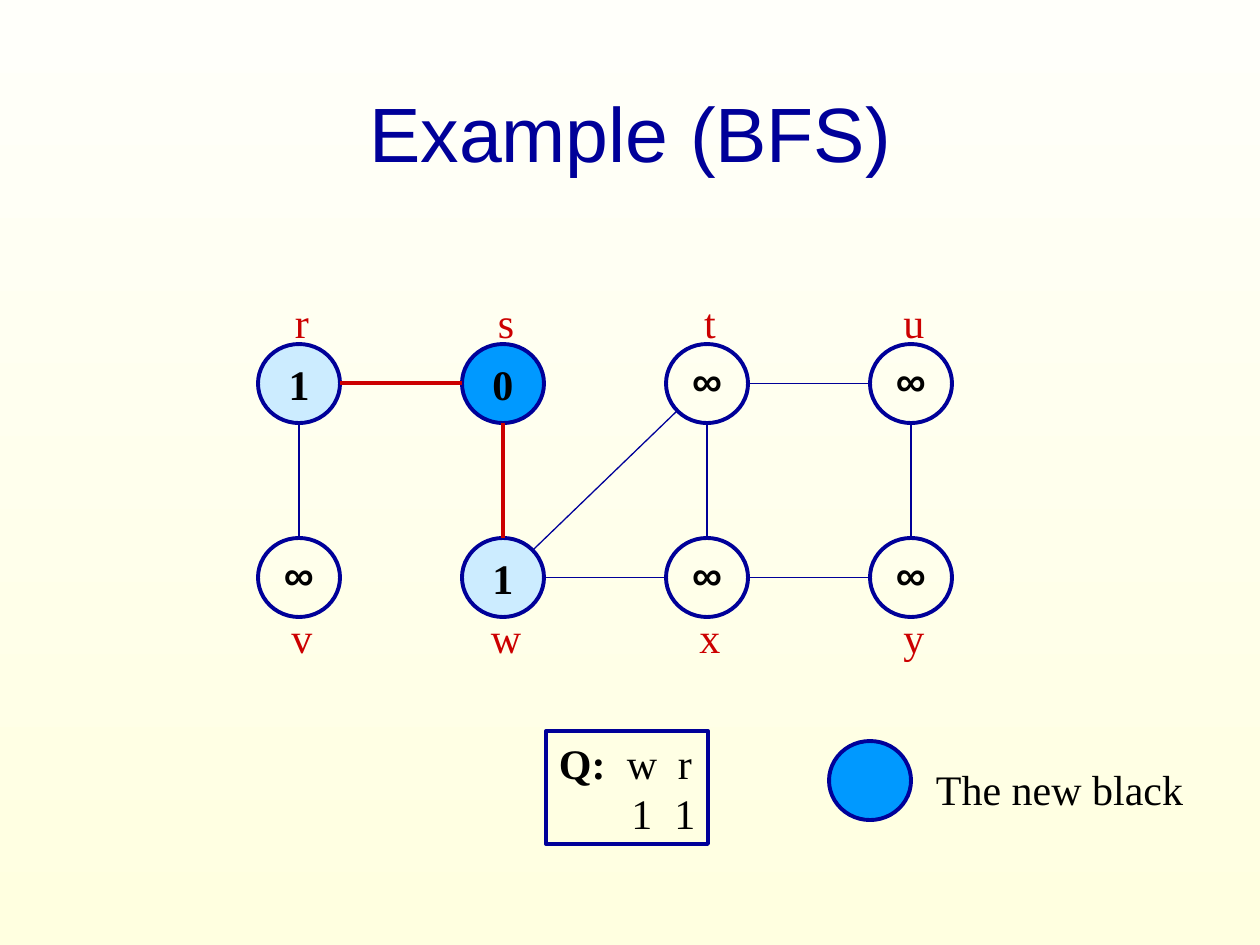
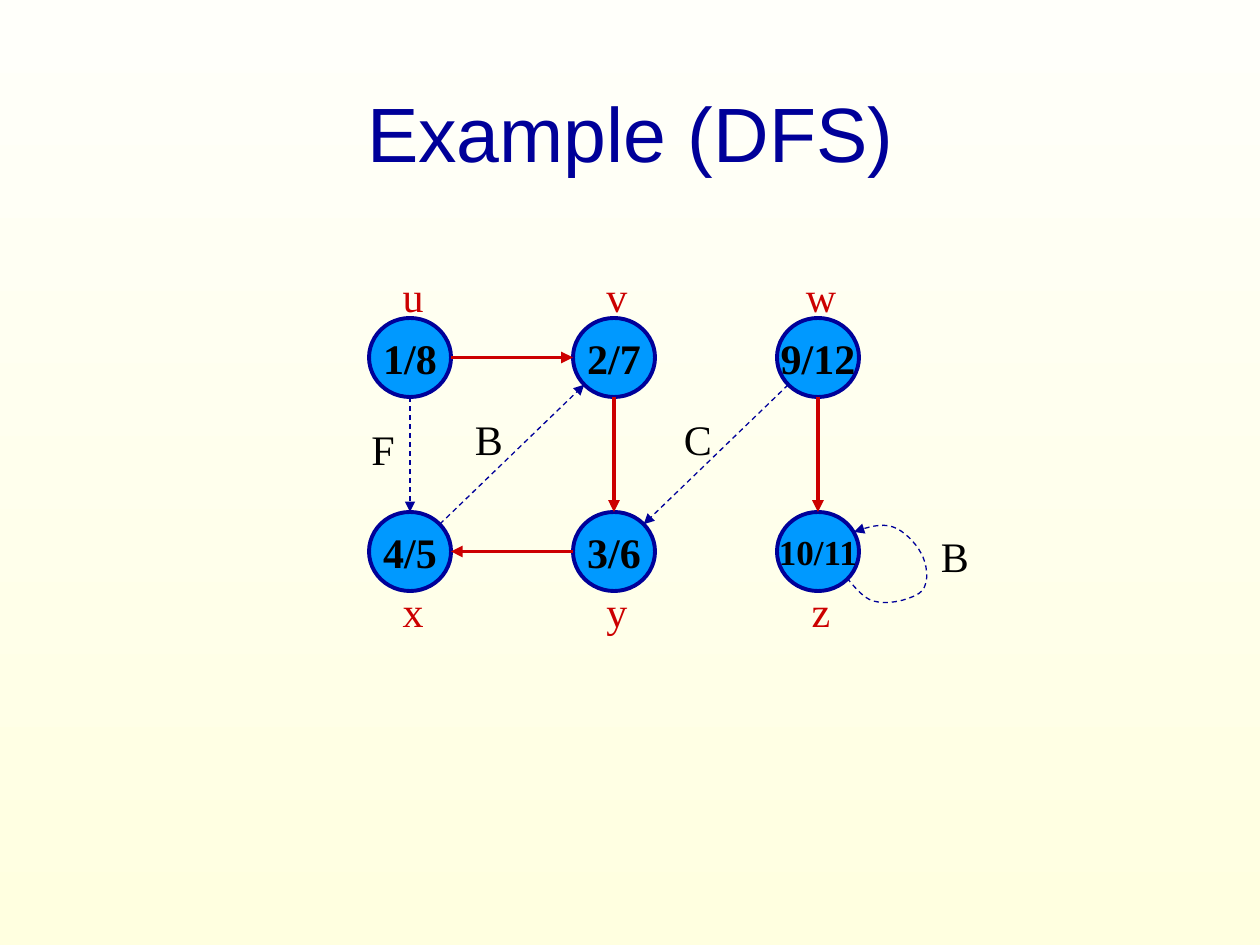
import math

from lxml import etree
from pptx import Presentation
from pptx import util as u
from pptx.dml.color import RGBColor
from pptx.enum import dml, shapes, text
from pptx.oxml.ns import qn

PX = u.Inches(10) / 1260
COLORS = {
    "top": "FFFFFA",
    "bottom": "FFFFE0",
    "navy": "000099",
    "red": "CC0000",
    "black": "000000",
    "visited": "0099FF",
    "queued": "CCECFF",
}
SANS, SERIF = "Arial", "Times New Roman"
NODE_W, NODE_H = 82, 79
COLUMN_GAP, ROW_GAP = 204, 194


def write(shape, content, size=24, color="black", bold=False, font=SERIF, align="CENTER"):
    frame = shape.text_frame
    frame.margin_left = frame.margin_right = frame.margin_top = frame.margin_bottom = 0
    frame.word_wrap = False
    frame.vertical_anchor = text.MSO_ANCHOR.MIDDLE
    frame.text = content
    for paragraph in frame.paragraphs:
        paragraph.alignment = text.PP_ALIGN[align]
        paragraph.font.name = font
        paragraph.font.size = u.Pt(size)
        paragraph.font.bold = bold
        paragraph.font.color.rgb = RGBColor.from_string(COLORS[color])


def stroke(line, color="navy", width=2.25, dashed=False, arrow=False):
    line.color.rgb = RGBColor.from_string(COLORS[color])
    line.width = u.Pt(width)
    if dashed:
        line.dash_style = dml.MSO_LINE.DASH
    if arrow:
        etree.SubElement(line._get_or_add_ln(), qn("a:tailEnd"), type="triangle")


graphs = [
    {
        "title": "Example (BFS)",
        "left": 258,
        "top": 344,
        "arrows": False,
        "rows": [
            [("r", "1", "queued"), ("s", "0", "visited"), ("t", "∞", None), ("u", "∞", None)],
            [("v", "∞", None), ("w", "1", "queued"), ("x", "∞", None), ("y", "∞", None)],
        ],
        "tree": ["rs", "sw"],
        "other": ["rv", "wt", "wx", "tx", "tu", "xy", "uy"],
    },
    {
        "title": "Example (DFS)",
        "left": 369,
        "top": 318,
        "arrows": True,
        "rows": [
            [("u", "1/8", "visited"), ("v", "2/7", "visited"), ("w", "9/12", "visited")],
            [("x", "4/5", "visited"), ("y", "3/6", "visited"), ("z", "10/11", "visited")],
        ],
        "tree": ["uv", "vy", "yx", "wz"],
        "other": ["ux", "xv", "wy"],
    },
]

presentation = Presentation()
presentation.slide_width, presentation.slide_height = u.Inches(10), u.Inches(7.5)
slides = []

for graph in graphs:
    slide = presentation.slides.add_slide(presentation.slide_layouts[6])
    slides.append(slide)
    background = slide.background.fill
    background.gradient()
    background.gradient_angle = 270
    for stop, position, color in zip(background.gradient_stops, (0, 1), ("top", "bottom")):
        stop.position = position
        stop.color.rgb = RGBColor.from_string(COLORS[color])

    title = slide.shapes.add_textbox(*(round(v * PX) for v in (42, 53, 1177, 157)))
    write(title, graph["title"], 44, "navy", font=SANS)

    centers = {}
    for row, nodes in enumerate(graph["rows"]):
        for column, (name, value, fill) in enumerate(nodes):
            left = graph["left"] + column * COLUMN_GAP
            top = graph["top"] + row * ROW_GAP
            x, y = centers[name] = left + NODE_W / 2, top + NODE_H / 2
            node = slide.shapes.add_shape(
                shapes.MSO_SHAPE.OVAL, *(round(v * PX) for v in (left, top, NODE_W, NODE_H)))
            node.shadow.inherit = False
            stroke(node.line)
            if fill:
                node.fill.solid()
                node.fill.fore_color.rgb = RGBColor.from_string(COLORS[fill])
            else:
                node.fill.background()
            infinite = value == "∞"
            write(node, value, 20 if len(value) > 4 else 24, bold=True,
                  font=SANS if infinite else SERIF)
            if infinite:
                node.text_frame.margin_bottom = round(8 * PX)

            label_y = y + (59 if row else -62)
            label = slide.shapes.add_textbox(
                *(round(v * PX) for v in (x - 27, label_y - 30, 60, 60)))
            write(label, name, color="red")

    for start, end in graph["tree"] + graph["other"]:
        (x1, y1), (x2, y2) = centers[start], centers[end]
        angle = math.atan2(y2 - y1, x2 - x1)
        dx, dy = NODE_W / 2 * math.cos(angle), NODE_H / 2 * math.sin(angle)
        edge = slide.shapes.add_connector(
            shapes.MSO_CONNECTOR.STRAIGHT,
            *(round(v * PX) for v in (x1 + dx, y1 + dy, x2 - dx, y2 - dy)))
        if start + end in graph["tree"]:
            stroke(edge.line, "red", arrow=graph["arrows"])
        else:
            stroke(edge.line, width=0.75, dashed=graph["arrows"], arrow=graph["arrows"])
        etree.SubElement(edge._element.spPr, qn("a:effectLst"))

bfs, dfs = slides

queue = bfs.shapes.add_shape(
    shapes.MSO_SHAPE.RECTANGLE, *(round(v * PX) for v in (546, 731, 162, 113)))
queue.shadow.inherit = False
queue.fill.background()
stroke(queue.line)
write(queue, "\tw\tr\n\t1\t1", align="LEFT")
queue.text_frame.word_wrap = True
queue.text_frame.margin_left = round(13 * PX)
for paragraph in queue.text_frame.paragraphs:
    tabs = etree.Element(qn("a:tabLst"))
    for position in (83, 126):
        etree.SubElement(tabs, qn("a:tab"), pos=str(round(position * PX)), algn="ctr")
    paragraph._p.get_or_add_pPr().insert(0, tabs)
heading = queue.text_frame.paragraphs[0]
heading.clear()
for content, bold in (("Q:", True), ("\tw\tr", False)):
    run = heading.add_run()
    run.text = content
    run.font.bold = bold

legend_node = bfs.shapes.add_shape(
    shapes.MSO_SHAPE.OVAL, *(round(v * PX) for v in (829, 741, NODE_W, NODE_H)))
legend_node.shadow.inherit = False
legend_node.fill.solid()
legend_node.fill.fore_color.rgb = RGBColor.from_string(COLORS["visited"])
stroke(legend_node.line)
legend = bfs.shapes.add_textbox(*(round(v * PX) for v in (936, 758, 290, 62)))
write(legend, "The new black", align="LEFT")

for kind, x, y in (("F", 383, 449), ("B", 489, 439), ("C", 698, 439), ("B", 955, 556)):
    edge_label = dfs.shapes.add_textbox(*(round(v * PX) for v in (x - 30, y - 30, 60, 60)))
    write(edge_label, kind)

loop_controls = [
    (847, 578), (857, 590), (866, 601), (878, 602),
    (891, 605), (916, 598), (922, 591),
    (930, 582), (927, 563), (921, 553),
    (916, 543), (903, 530), (893, 527),
    (882, 523), (868, 527), (854, 532),
]
STEPS = 8
loop_points = []
for first in range(0, len(loop_controls) - 1, 3):
    curve = loop_controls[first:first + 4]
    for step in range(1, STEPS + 1):
        t = step / STEPS
        weights = [math.comb(3, i) * t**i * (1 - t)**(3 - i) for i in range(4)]
        loop_points.append(tuple(
            round(PX * sum(weight * point[axis] for weight, point in zip(weights, curve)))
            for axis in (0, 1)))
builder = dfs.shapes.build_freeform(*(round(v * PX) for v in loop_controls[0]))
builder.add_line_segments(loop_points, close=False)
self_loop = builder.convert_to_shape()
self_loop.shadow.inherit = False
self_loop.fill.background()
stroke(self_loop.line, width=0.75, dashed=True, arrow=True)

presentation.save("out.pptx")
